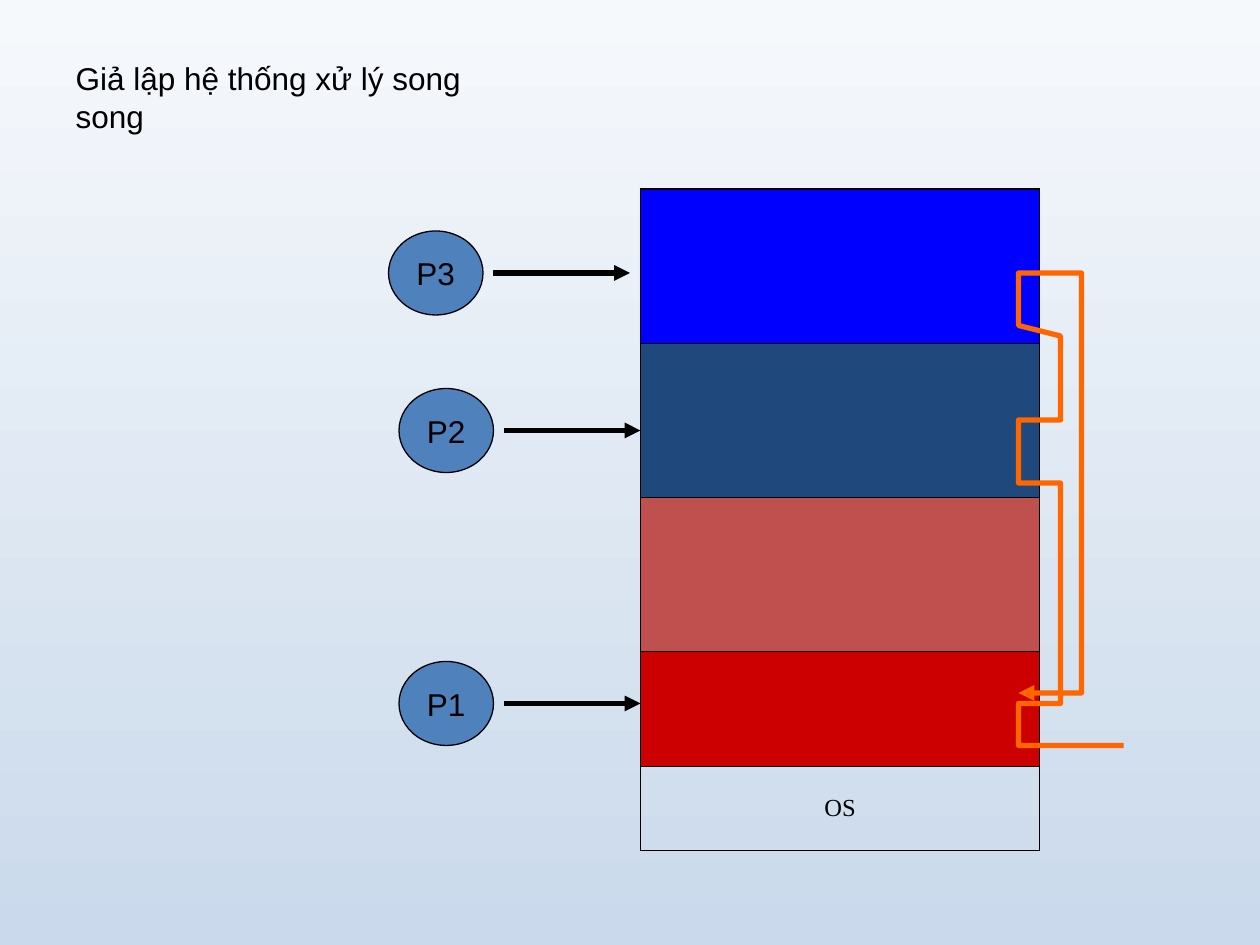
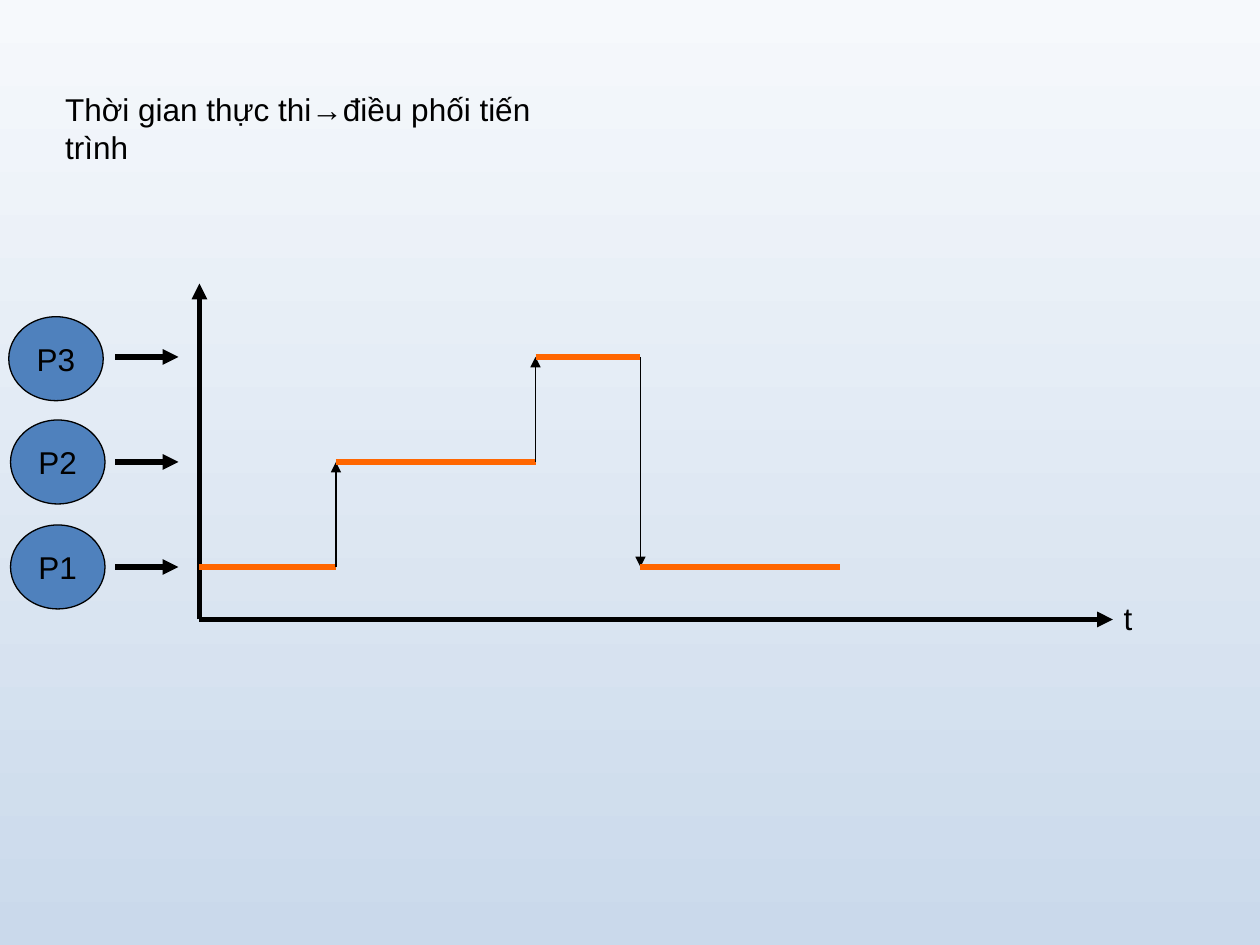
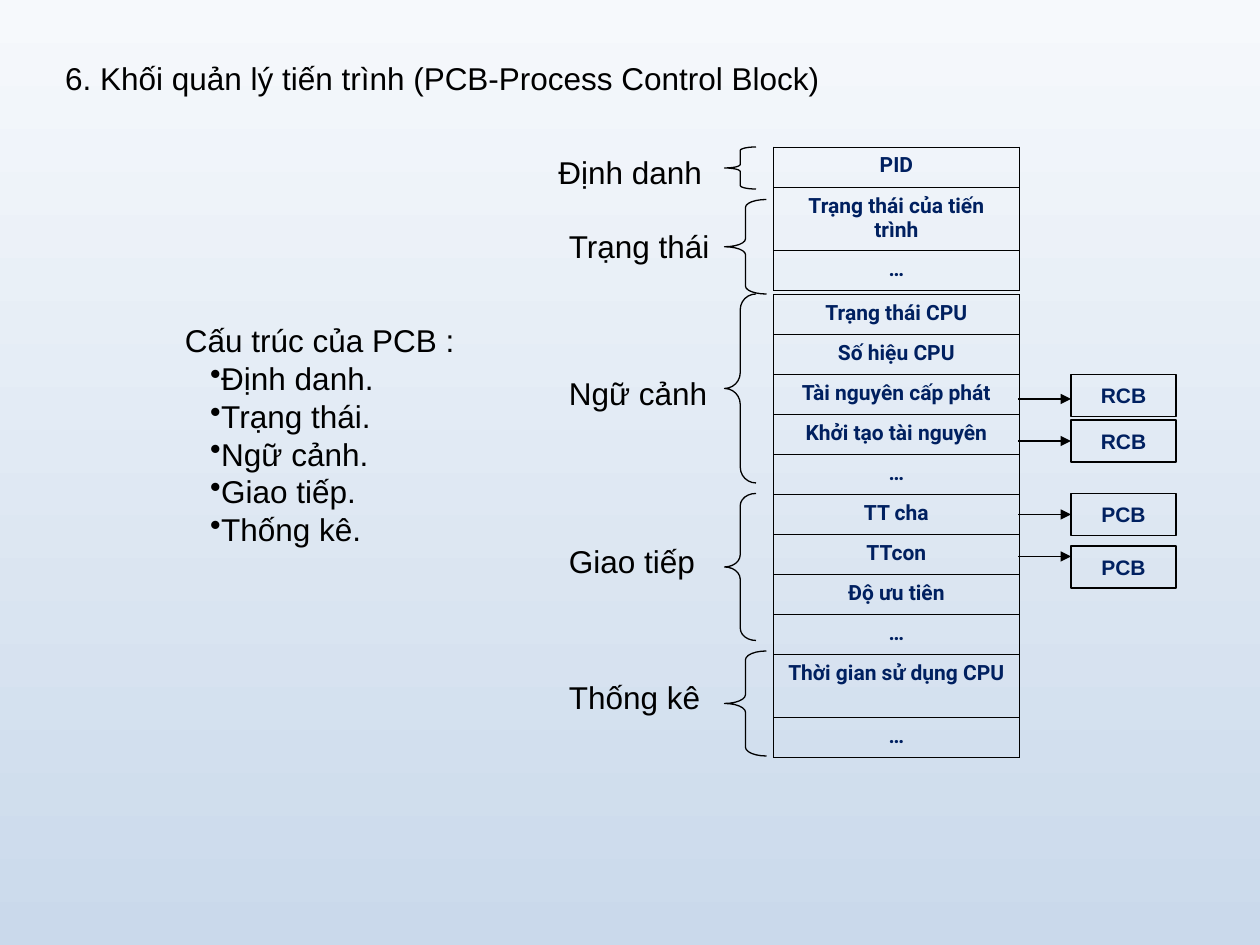
from lxml import etree
from pptx import Presentation
from pptx.dml.color import RGBColor
from pptx.enum import shapes, text
from pptx.oxml.ns import qn
from pptx.util import Pt

BLACK, NAVY, ORANGE, BLUE = "000000", "002060", "FF6600", "4F81BD"
BACKGROUND = ("F6F9FC", "CAD9EB")
THICK, THIN = 3, 0.75
CIRCLE_W, CIRCLE_H = 54, 48
ROW, TALL_ROW = 22.86, 36


def rgb(value):
    return RGBColor.from_string(value)


def write(tf, content, size=18, font="Arial", color=BLACK, bold=False,
          align=text.PP_ALIGN.LEFT, before=0):
    """Fill a text frame, one paragraph for each line of content."""
    for i, line in enumerate(content.split("\n")):
        p = tf.paragraphs[0] if i == 0 else tf.add_paragraph()
        p.alignment = align
        p.space_before = Pt(before)
        r = p.add_run()
        r.text = line
        r.font.size = Pt(size)
        r.font.name = font
        r.font.bold = bold
        r.font.color.rgb = rgb(color)


def add_bullet(p, indent):
    pPr = p._p.get_or_add_pPr()
    pPr.set("marL", "0")
    pPr.set("indent", str(Pt(indent)))
    color = etree.SubElement(pPr, qn("a:buClr"))
    etree.SubElement(color, qn("a:srgbClr"), val=BLACK)
    etree.SubElement(pPr, qn("a:buChar"), char="•")


def add_slide(prs, title, left, top, width):
    s = prs.slides.add_slide(prs.slide_layouts[5])
    sp = s.shapes.title
    sp.left, sp.top, sp.width, sp.height = map(Pt, (left, top, width, 28.8))
    tf = sp.text_frame
    tf.word_wrap = False
    tf.auto_size = text.MSO_AUTO_SIZE.SHAPE_TO_FIT_TEXT
    tf.vertical_anchor = text.MSO_ANCHOR.TOP
    write(tf, title)
    return s


def add_text(s, content, left, top, width, height=28.8):
    sp = s.shapes.add_textbox(*map(Pt, (left, top, width, height)))
    tf = sp.text_frame
    tf.word_wrap = False
    tf.auto_size = text.MSO_AUTO_SIZE.SHAPE_TO_FIT_TEXT
    write(tf, content)
    return tf


def style_line(sp, color, width, arrow=False):
    sp.line.color.rgb = rgb(color)
    sp.line.width = Pt(width)
    if arrow:
        ln = sp.element.spPr.find(qn("a:ln"))
        etree.SubElement(ln, qn("a:tailEnd"), type="triangle")


def add_line(s, x1, y1, x2, y2, color=BLACK, width=THICK, arrow=True):
    sp = s.shapes.add_connector(shapes.MSO_CONNECTOR.STRAIGHT,
                                *map(Pt, (x1, y1, x2, y2)))
    style_line(sp, color, width, arrow)
    etree.SubElement(sp.element.spPr, qn("a:effectLst"))


def add_route(s, points):
    """Draw an open orange path that ends in an arrowhead."""
    points = [(Pt(x), Pt(y)) for x, y in points]
    builder = s.shapes.build_freeform(*points[0], scale=1.0)
    builder.add_line_segments(points[1:], close=False)
    sp = builder.convert_to_shape()
    sp.shadow.inherit = False
    sp.fill.background()
    style_line(sp, ORANGE, THICK, arrow=True)


def add_outline(s, kind, left, top, width, height, fill=None):
    sp = s.shapes.add_shape(kind, *map(Pt, (left, top, width, height)))
    sp.shadow.inherit = False
    if fill:
        sp.fill.solid()
        sp.fill.fore_color.rgb = rgb(fill)
    else:
        sp.fill.background()
    style_line(sp, BLACK, THIN)
    return sp


def add_process(s, name, left, top):
    sp = add_outline(s, shapes.MSO_SHAPE.OVAL, left, top, CIRCLE_W, CIRCLE_H, BLUE)
    sp.text_frame.word_wrap = False
    write(sp.text_frame, name, align=text.PP_ALIGN.CENTER)


def add_block(s, name, left, top):
    sp = add_outline(s, shapes.MSO_SHAPE.RECTANGLE, left, top, 60, 24)
    sp.text_frame.word_wrap = False
    write(sp.text_frame, name, size=12, color=NAVY, bold=True,
          align=text.PP_ALIGN.CENTER)


def add_brace(s, left, top, width, height):
    sp = add_outline(s, shapes.MSO_SHAPE.LEFT_BRACE, left, top, width, height)
    sp.adjustments[0] = height / 12 / min(width, height)


def set_borders(cell, widths):
    """Set the left, right, top and bottom border widths."""
    tcPr = cell._tc.get_or_add_tcPr()
    for side, width in zip("LRTB", widths):
        ln = etree.SubElement(tcPr, qn(f"a:ln{side}"), w=str(Pt(width)))
        fill = etree.SubElement(ln, qn("a:solidFill"))
        etree.SubElement(fill, qn("a:srgbClr"), val=BLACK)


def add_column(s, left, top, width, heights, fills=None, outer=0.45):
    """Add a one-column table and return its cells."""
    frame = s.shapes.add_table(len(heights), 1,
                               *map(Pt, (left, top, width, sum(heights))))
    table = frame.table
    table.first_row = table.horz_banding = False
    table.columns[0].width = Pt(width)
    cells = []
    last = len(heights) - 1
    for i, height in enumerate(heights):
        table.rows[i].height = Pt(height)
        cell = table.cell(i, 0)
        set_borders(cell, (outer, outer, outer if i == 0 else 0.45,
                           outer if i == last else 0.45))
        if fills and fills[i]:
            cell.fill.solid()
            cell.fill.fore_color.rgb = rgb(fills[i])
        else:
            cell.fill.background()
        cells.append(cell)
    return cells


def memory_slide(prs):
    s = add_slide(prs, "Giả lập hệ thống xử lý song song", 36, 30, 278.6)
    cells = add_column(s, 366, 108, 228, (88, 88, 88, 66, 48),
                       ("0000FF", "1F497D", "C0504D", "CC0000", None), outer=1.08)
    cells[-1].vertical_anchor = text.MSO_ANCHOR.MIDDLE
    write(cells[-1].text_frame, "OS", size=14, font="Times New Roman",
          align=text.PP_ALIGN.CENTER, before=3.5)
    for name, left, top in (("P1", 228, 378), ("P2", 228, 222), ("P3", 222, 132)):
        add_process(s, name, left, top)
        start, y = left + CIRCLE_W + 6, top + CIRCLE_H / 2
        add_line(s, start, y, start + 78, y)
    add_route(s, ((642, 426), (582, 426), (582, 402), (606, 402), (606, 276),
                  (582, 276), (582, 240), (606, 240), (606, 192), (582, 186),
                  (582, 156), (618, 156), (618, 396), (582, 396)))


def schedule_slide(prs):
    s = add_slide(prs, "Thời gian thực thi→điều phối tiến trình", 30, 48, 321.1)
    origin_x, origin_y = 114, 354
    add_line(s, origin_x, origin_y, origin_x, 162)
    add_line(s, origin_x, origin_y, 636, origin_y)
    add_text(s, "t", 635, 339, 19.4)

    levels = {"P1": 324, "P2": 264, "P3": 204}
    for (name, y), (left, top) in zip(levels.items(), ((6, 300), (6, 240), (5, 181))):
        add_process(s, name, left, top)
        add_line(s, 66, y, 102, y)

    x, previous = origin_x, None
    for name, end in (("P1", 192), ("P2", 306), ("P3", 366), ("P1", 480)):
        y = levels[name]
        if previous:
            add_line(s, x, previous, x, y, width=THIN)
        add_line(s, x, y, end, y, ORANGE, arrow=False)
        x, previous = end, y


def pcb_slide(prs):
    s = add_slide(prs, "6. Khối quản lý tiến trình (PCB-Process Control Block)",
                  30, 30, 450.7)
    tables = (
        (84, ("PID",)),
        (107, ("Trạng thái của tiến trình", "…")),
        (168.3, ("Trạng thái CPU", "Số hiệu CPU", "Tài nguyên cấp phát",
                 "Khởi tạo tài nguyên", "…")),
        (282.6, ("TT cha", "TTcon", "Độ ưu tiên", "…")),
        (374, ("Thời gian sử dụng CPU", "…")),
    )
    for top, rows in tables:
        heights = [TALL_ROW if len(row) > 20 else ROW for row in rows]
        for cell, row in zip(add_column(s, 442, top, 140.4, heights), rows):
            write(cell.text_frame, row, size=12, font="Roboto", color=NAVY,
                  bold=True, align=text.PP_ALIGN.CENTER)

    groups = (
        ("Định danh", 312, 84, 96.5, (84, 18, 24)),
        ("Trạng thái", 318, 126, 95, (114, 24, 54)),
        ("Ngữ cảnh", 318, 210, 93.6, (168, 18, 108)),
        ("Giao tiếp", 318, 306, 86.4, (282, 18, 84)),
        ("Thống kê", 318, 384, 89.3, (372, 24, 60)),
    )
    for name, left, top, width, brace in groups:
        add_text(s, name, left, top, width)
        add_brace(s, 414, *brace)

    lines = ["Cấu trúc của PCB :"] + [f"{group[0]}." for group in groups]
    tf = add_text(s, "\n".join(lines), 98.6, 180, 168.5, 136.8)
    for p in tf.paragraphs[1:]:
        add_bullet(p, 14.4)

    for name, top, y in (("RCB", 214, 228), ("RCB", 240, 252),
                         ("PCB", 282, 294), ("PCB", 312, 318)):
        add_block(s, name, 612, top)
        add_line(s, 582, y, 612, y, width=THIN)


def main():
    prs = Presentation()
    prs.slide_width, prs.slide_height = Pt(720), Pt(540)
    fill = prs.slide_master.background.fill
    fill.gradient()
    fill.gradient_angle = 270
    for stop, color in zip(fill.gradient_stops, BACKGROUND):
        stop.color.rgb = rgb(color)
    memory_slide(prs)
    schedule_slide(prs)
    pcb_slide(prs)
    prs.save("out.pptx")


if __name__ == "__main__":
    main()
